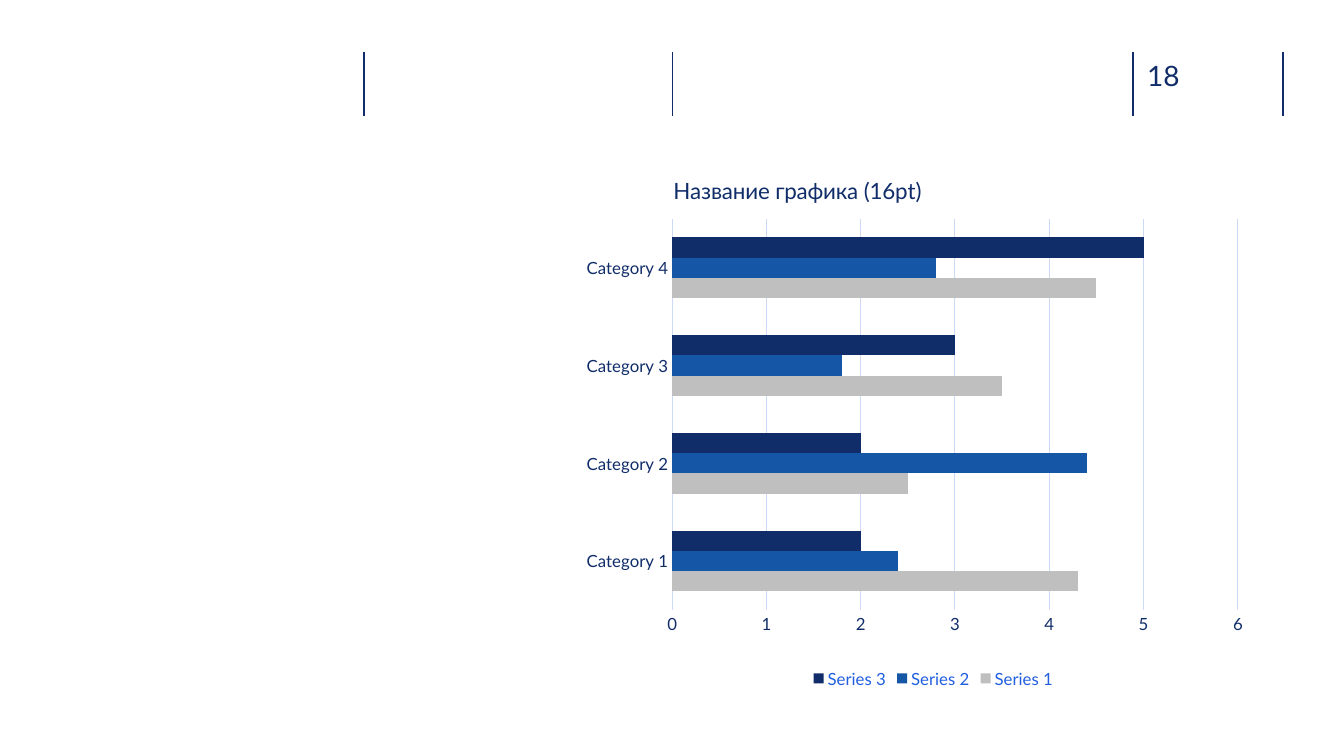
"""Build a slide with header rules, a page number and a clustered bar chart."""
import dataclasses

import lxml.etree
import pptx
import pptx.chart.data
import pptx.dml.color
import pptx.enum.chart
import pptx.enum.shapes
import pptx.util
from pptx.util import Cm


@dataclasses.dataclass(frozen=True)
class Theme:
    """Colours, font and type sizes."""
    navy: str = "102D69"
    blue: str = "1656A6"
    grey: str = "BFBFBF"
    pale: str = "CCDAF8"
    legend: str = "215FDF"
    font: str = "Lato"
    number_size: int = 20
    title_size: int = 16
    label_size: int = 12


@dataclasses.dataclass(frozen=True)
class Series:
    """One set of bars."""
    name: str
    values: tuple[float, ...]
    colour: str


THEME = Theme()
RULE_POSITIONS = (9.17, 16.94, 28.55, 32.33)
RULE_TOP, RULE_BOTTOM = 1.3, 2.92
CATEGORIES = [f"Category {number}" for number in range(1, 5)]
SERIES = (
    Series("Series 1", (4.3, 2.5, 3.5, 4.5), THEME.grey),
    Series("Series 2", (2.4, 4.4, 1.8, 2.8), THEME.blue),
    Series("Series 3", (2, 2, 3, 5), THEME.navy),
)


def rgb(colour: str) -> pptx.dml.color.RGBColor:
    """Return a colour object for a hex string."""
    return pptx.dml.color.RGBColor.from_string(colour)


def style_font(font, size: int, colour: str = THEME.navy) -> None:
    """Set the face, size and colour of a font."""
    font.name = THEME.font
    font.size = pptx.util.Pt(size)
    font.bold = False
    font.color.rgb = rgb(colour)


def style_line(line, colour: str, width: float) -> None:
    """Set the colour and width of a line."""
    line.color.rgb = rgb(colour)
    line.width = pptx.util.Pt(width)


def draw_rule(page, left: float) -> None:
    """Draw one vertical header rule."""
    rule = page.shapes.add_connector(
        pptx.enum.shapes.MSO_CONNECTOR.STRAIGHT,
        Cm(left), Cm(RULE_TOP), Cm(left), Cm(RULE_BOTTOM))
    style_line(rule.line, THEME.navy, 1)
    lxml.etree.SubElement(
        rule._element.spPr, pptx.oxml.ns.qn("a:effectLst"))


def draw_page_number(page, number: str) -> None:
    """Write the page number in the header."""
    box = page.shapes.add_textbox(Cm(28.91), Cm(1.47), Cm(1.85), Cm(0.86))
    frame = box.text_frame
    frame.word_wrap = True
    frame.margin_left = frame.margin_right = 0
    frame.margin_top = frame.margin_bottom = 0
    span = frame.paragraphs[0].add_run()
    span.text = number
    style_font(span.font, THEME.number_size)


def place(parent, index: int, settings: dict[str, str | float]) -> None:
    """Give a chart part a manual layout at the given child index."""
    tag = pptx.oxml.ns.qn
    for old in parent.findall(tag("c:layout")):
        parent.remove(old)
    layout = lxml.etree.Element(tag("c:layout"))
    manual = lxml.etree.SubElement(layout, tag("c:manualLayout"))
    for name, value in settings.items():
        lxml.etree.SubElement(manual, tag(f"c:{name}")).set("val", str(value))
    parent.insert(index, layout)


def style_axes(chart) -> None:
    """Format both axes and the gridlines."""
    for axis in (chart.category_axis, chart.value_axis):
        axis.major_tick_mark = pptx.enum.chart.XL_TICK_MARK.NONE
        axis.minor_tick_mark = pptx.enum.chart.XL_TICK_MARK.NONE
        style_font(axis.tick_labels.font, THEME.label_size)
    style_line(chart.category_axis.format.line, THEME.pale, 0.75)
    values = chart.value_axis
    values.minimum_scale, values.maximum_scale, values.major_unit = 0, 6, 1
    values.tick_labels.number_format = "General"
    values.tick_labels.number_format_is_linked = False
    values.format.line.fill.background()
    values.has_major_gridlines = True
    style_line(values.major_gridlines.format.line, THEME.pale, 0.75)


def draw_chart(page) -> None:
    """Draw the bar chart with its title and legend."""
    data = pptx.chart.data.CategoryChartData()
    data.categories = CATEGORIES
    for series in SERIES:
        data.add_series(series.name, series.values)
    chart = page.shapes.add_chart(
        pptx.enum.chart.XL_CHART_TYPE.BAR_CLUSTERED,
        Cm(14.53), Cm(4.04), Cm(17.98), Cm(13.41), data).chart
    style_font(chart.font, THEME.label_size)

    chart.has_title = True
    span = chart.chart_title.text_frame.paragraphs[0].add_run()
    span.text = "Название графика (16pt)"
    style_font(span.font, THEME.title_size)
    chart.chart_title.include_in_layout = False
    place(chart.chart_title._element, 1, {
        "xMode": "edge", "yMode": "edge", "x": 0.13, "y": 0.02})

    plot = chart.plots[0]
    plot.gap_width = 182
    plot.vary_by_categories = False
    for bars, series in zip(plot.series, SERIES):
        bars.format.fill.solid()
        bars.format.fill.fore_color.rgb = rgb(series.colour)
        bars.invert_if_negative = False
    place(chart._chartSpace.chart.plotArea, 0, {
        "layoutTarget": "inner", "xMode": "edge", "yMode": "edge",
        "x": 0.134, "y": 0.11, "w": 0.793, "h": 0.735})
    style_axes(chart)

    chart.has_legend = True
    chart.legend.position = pptx.enum.chart.XL_LEGEND_POSITION.BOTTOM
    chart.legend.include_in_layout = False
    style_font(chart.legend.font, THEME.label_size, THEME.legend)


def main() -> None:
    """Build the deck and save it."""
    deck = pptx.Presentation()
    deck.slide_width, deck.slide_height = Cm(33.87), Cm(19.05)
    page = deck.slides.add_slide(deck.slide_layouts[6])
    for left in RULE_POSITIONS:
        draw_rule(page, left)
    draw_page_number(page, "18")
    draw_chart(page)
    deck.save("out.pptx")


if __name__ == "__main__":
    main()
